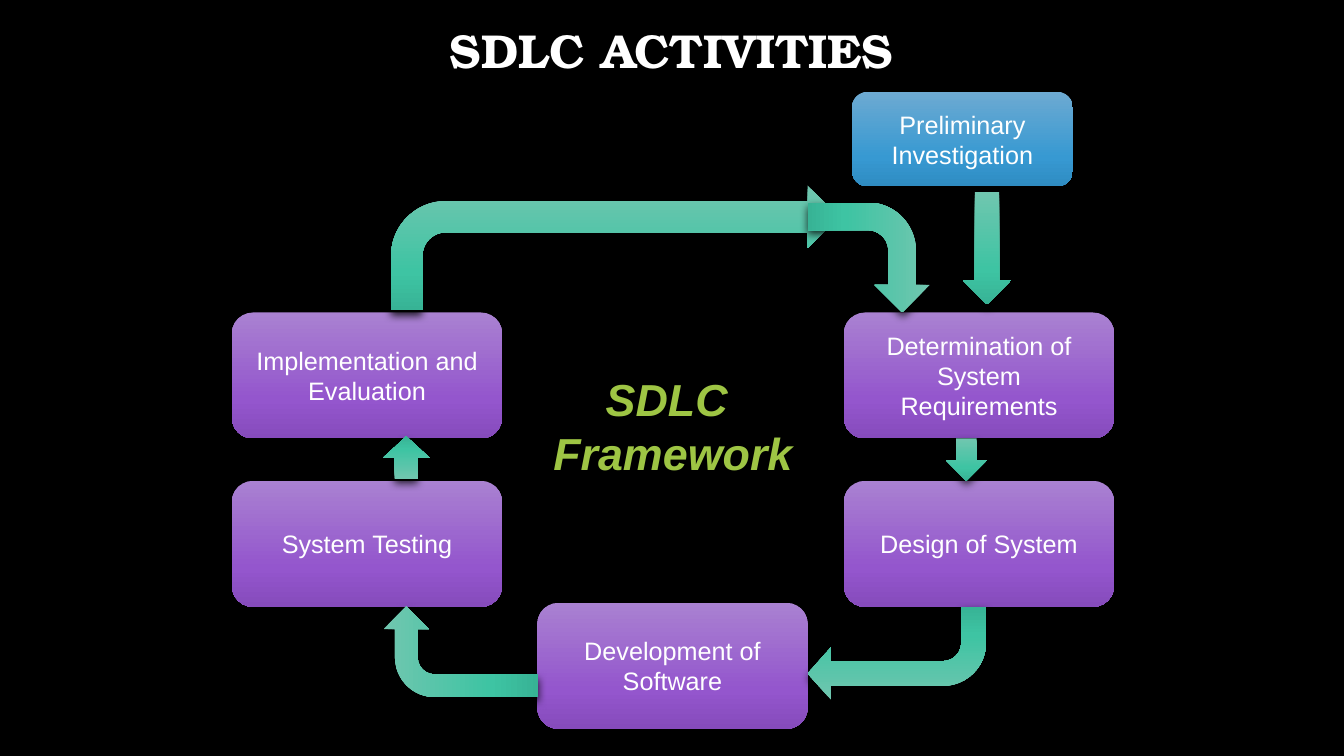
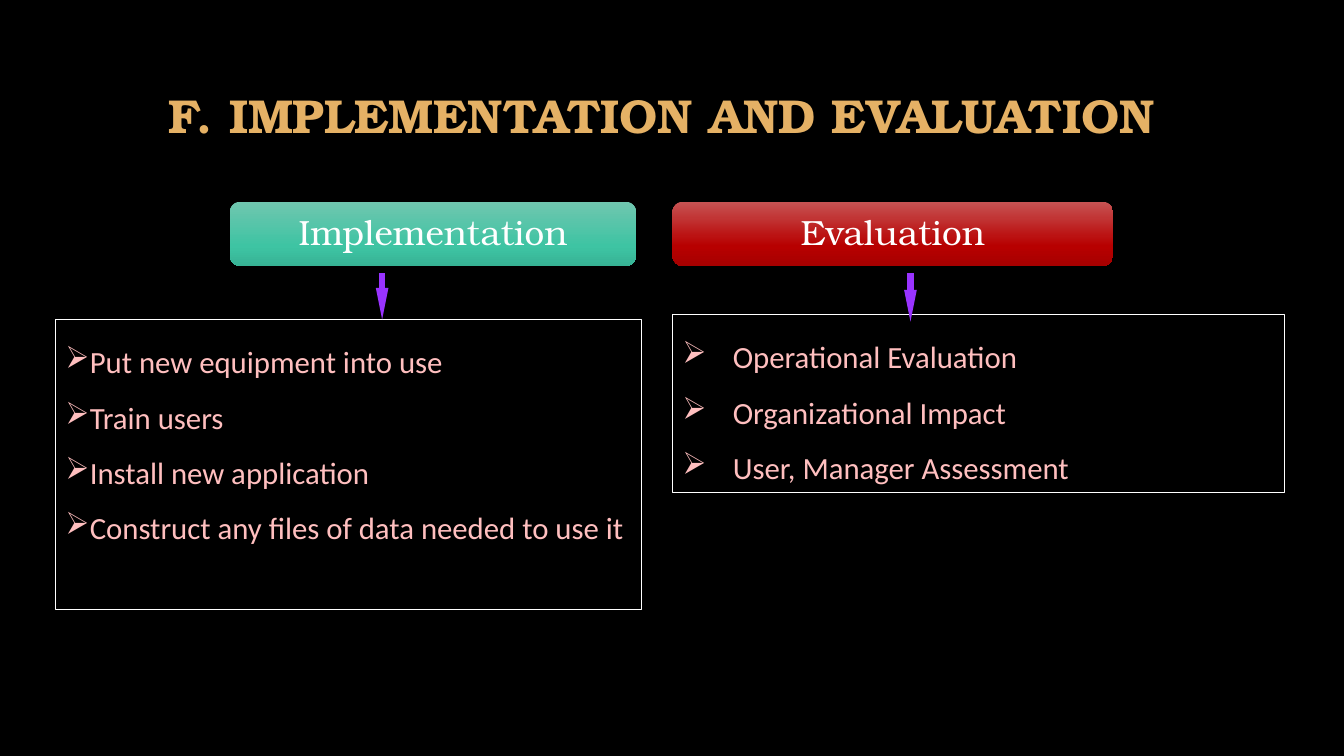
from copy import deepcopy

from lxml import etree
from pptx import Presentation
from pptx.dml.color import RGBColor
from pptx.enum.shapes import MSO_CONNECTOR, MSO_SHAPE as SHAPE
from pptx.enum.text import MSO_ANCHOR as ANCHOR, PP_ALIGN as ALIGN
from pptx.oxml.ns import qn
from pptx.util import Inches, Pt

BLACK, WHITE, GOLD, LIME = "000000", "FFFFFF", "E5B165", "9EC544"
PINK, VIOLET = "FFBFBF", "9933FF"
BLUE = ("6DAAD2", "3799D2", "2F8CC2")
PURPLE = ("A981D1", "9456CD", "864BBC")
GREEN = ("70C6AF", "3EC4A3", "37B395")
RED = ("C75353", "B70000", "A60000")
SERIF, SANS, BODY = "TeX Gyre Bonum", "Arial", "Calibri"
DEEP_SHADOW, SOFT_SHADOW = (76, 6, 3), (54, 4, 3)

STEP_WIDTH, STEP_HEIGHT = 2.68, 1.25
LEFT, MIDDLE, RIGHT = 2.3, 5.33, 8.37
UPPER, LOWER, BOTTOM = 3.1, 4.77, 5.98
STEPS = [
    ("Determination of System Requirements", RIGHT, UPPER),
    ("Design of System", RIGHT, LOWER),
    ("Development of Software", MIDDLE, BOTTOM),
    ("System Testing", LEFT, LOWER),
    ("Implementation and Evaluation", LEFT, UPPER),
]
START = ("Preliminary Investigation", (8.45, 0.91, 2.19, 0.94))
FLOW = [
    (SHAPE.BENT_ARROW, (8.01, 6.02, 1.77, 0.92), 180, (0.267, 0.281, 0.25, 0.465)),
    (SHAPE.DOWN_ARROW, (9.38, 4.35, 0.41, 0.42), 0, ()),
    (SHAPE.DOWN_ARROW, (3.8, 4.33, 0.46, 0.42), 180, ()),
    (SHAPE.BENT_ARROW, (4.12, 5.7, 0.9, 1.53), 270, ()),
    (SHAPE.BENT_ARROW, (3.88, 1.84, 4.44, 1.24), 0, ()),
    (SHAPE.BENT_ARROW, (8.07, 1.95, 1.09, 1.21), 90, ()),
    (SHAPE.DOWN_ARROW, (9.55, 1.9, 0.48, 1.12), 0, ()),
]

TOPICS = [
    {
        "heading": "Implementation", "colors": GREEN, "banner": (2.28, 2, 4.03, 0.64),
        "frame": (0.55, 3.17, 5.81, 2.88), "hang": 0, "arrow": (3.79, 3.17),
        "points": ["Put new equipment into use", "Train users", "Install new application",
                   "Construct any files of data needed to use it"],
    },
    {
        "heading": "Evaluation", "colors": RED, "banner": (6.67, 2, 4.37, 0.64),
        "frame": (6.67, 3.12, 6.07, 1.77), "hang": 0.5, "arrow": (9.03, 3.19),
        "points": ["Operational Evaluation", "Organizational Impact",
                   "User, Manager Assessment"],
    },
]
ARROW_TOP = 2.71


def rgb(color):
    return RGBColor.from_string(color)


def inches(box):
    return [Inches(value) for value in box]


def write(holder, lines, size, font, color, bold=False, italic=False, align=ALIGN.CENTER,
          anchor=ANCHOR.MIDDLE, spacing=None, bullet=None, hang=0, wrap=True):
    frame = holder.text_frame
    frame.word_wrap = wrap
    frame.vertical_anchor = anchor
    for index, line in enumerate(lines):
        paragraph = frame.add_paragraph() if index else frame.paragraphs[0]
        paragraph.alignment = align
        paragraph.line_spacing = spacing
        run = paragraph.add_run()
        run.text = line
        run.font.size, run.font.name = Pt(size), font
        run.font.bold, run.font.italic = bold, italic
        run.font.color.rgb = rgb(color)
        if bullet:
            properties = paragraph._p.get_or_add_pPr()
            properties.set("marL", str(Inches(hang)))
            properties.set("indent", str(-Inches(hang)))
            etree.SubElement(properties, qn("a:buChar"), char=bullet)


def add_text(slide, box, lines, **style):
    write(slide.shapes.add_textbox(*inches(box)), lines, **style)


def add_title(slide, box, title, color):
    add_text(slide, box, [title], size=34, font=SERIF, color=color, bold=True, wrap=False)


def add_glossy(slide, kind, box, colors, shadow):
    shape = slide.shapes.add_shape(kind, *inches(box))
    shape.line.fill.background()
    shape.fill.gradient()
    shape.fill.gradient_angle = 270
    stops = shape.element.spPr.find(".//" + qn("a:gsLst"))
    stops.append(deepcopy(stops[-1]))
    for stop, color, position in zip(shape.fill.gradient_stops, colors, (0, 0.69, 1)):
        stop.color.rgb = rgb(color)
        stop.position = position
    shape.shadow.inherit = False
    alpha, blur, distance = shadow
    effects = shape.element.spPr.find(qn("a:effectLst"))
    outer = etree.SubElement(effects, qn("a:outerShdw"), blurRad=str(Pt(blur)),
                             dist=str(Pt(distance)), dir="5400000", rotWithShape="0")
    tint = etree.SubElement(outer, qn("a:srgbClr"), val=BLACK)
    etree.SubElement(tint, qn("a:alpha"), val=str(alpha * 1000))
    return shape


def add_down_line(slide, x, top, bottom):
    line = slide.shapes.add_connector(MSO_CONNECTOR.STRAIGHT, *inches((x, top, x, bottom)))
    line.line.width = Pt(4.5)
    line.line.color.rgb = rgb(VIOLET)
    etree.SubElement(line.line._get_or_add_ln(), qn("a:tailEnd"),
                     type="triangle", w="sm", len="lg")
    etree.SubElement(line.element.spPr, qn("a:effectLst"))


def build_activities(slide):
    add_title(slide, (1, 0, 11.32, 0.99), "SDLC ACTIVITIES", WHITE)
    boxes = [(*START, BLUE)]
    boxes += [(label, (x, y, STEP_WIDTH, STEP_HEIGHT), PURPLE) for label, x, y in STEPS]
    for label, box, colors in boxes:
        step = add_glossy(slide, SHAPE.ROUNDED_RECTANGLE, box, colors, DEEP_SHADOW)
        write(step, [label], size=18, font=SANS, color=WHITE)
    for kind, box, rotation, bends in FLOW:
        arrow = add_glossy(slide, kind, box, GREEN, DEEP_SHADOW)
        arrow.rotation = rotation
        for index, bend in enumerate(bends):
            arrow.adjustments[index] = bend
    add_text(slide, (5.38, 3.63, 2.59, 1.18), ["SDLC ", "Framework"], size=32, font=SANS,
             color=LIME, bold=True, italic=True, wrap=False)


def build_evaluation(slide):
    add_title(slide, (1.46, 0.8, 10.21, 0.67), "F. IMPLEMENTATION AND EVALUATION", GOLD)
    for topic in TOPICS:
        banner = add_glossy(slide, SHAPE.ROUNDED_RECTANGLE, topic["banner"],
                            topic["colors"], SOFT_SHADOW)
        write(banner, [topic["heading"]], size=25, font=SERIF, color=WHITE, spacing=0.9)
        panel = slide.shapes.add_shape(SHAPE.RECTANGLE, *inches(topic["frame"]))
        panel.shadow.inherit = False
        panel.fill.background()
        panel.line.color.rgb = rgb(WHITE)
        panel.line.width = Pt(0.75)
        write(panel, topic["points"], size=22, font=BODY, color=PINK, align=ALIGN.LEFT,
              anchor=ANCHOR.TOP, spacing=1.5, bullet="➢", hang=topic["hang"])
        x, bottom = topic["arrow"]
        add_down_line(slide, x, ARROW_TOP, bottom)


def main():
    deck = Presentation()
    deck.slide_width, deck.slide_height = Inches(13.33), Inches(7.5)
    backdrop = deck.slide_master.background.fill
    backdrop.solid()
    backdrop.fore_color.rgb = rgb(BLACK)
    for build in (build_activities, build_evaluation):
        build(deck.slides.add_slide(deck.slide_layouts[6]))
    deck.save("out.pptx")


if __name__ == "__main__":
    main()
